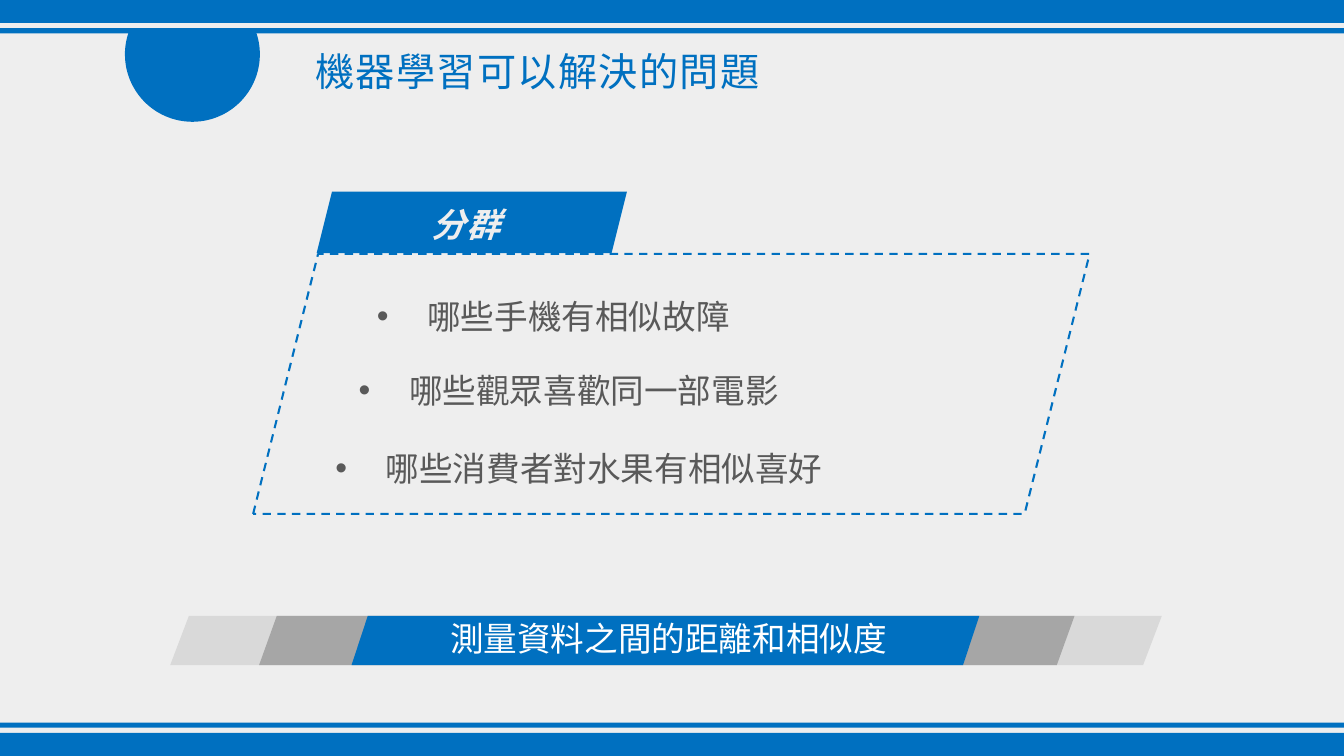
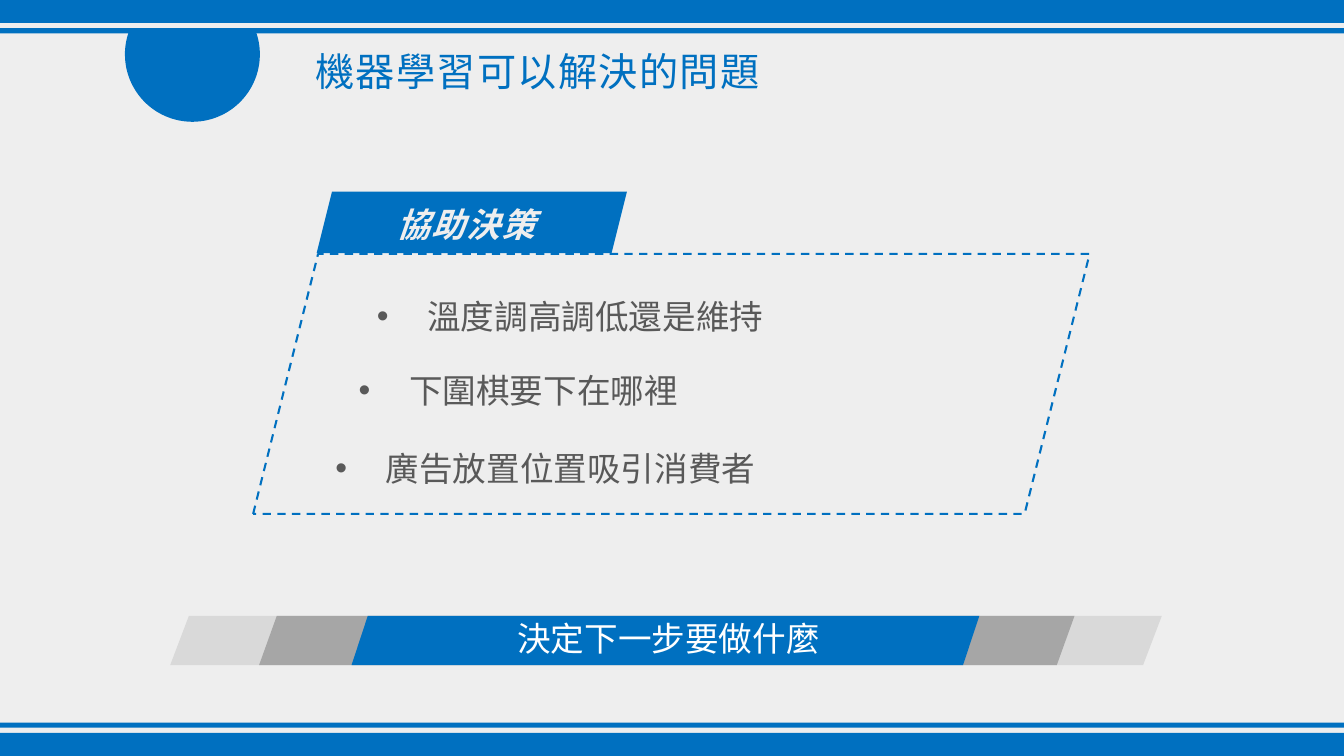
"""Build two slides on the problems that machine learning can solve."""
from dataclasses import dataclass
from math import asin, cos, pi, sin

from lxml import etree
from pptx import Presentation
from pptx.dml.color import RGBColor
from pptx.enum.dml import MSO_LINE
from pptx.enum.shapes import MSO_SHAPE
from pptx.enum.text import MSO_ANCHOR, MSO_AUTO_SIZE, PP_ALIGN
from pptx.oxml.ns import qn
from pptx.util import Cm, Pt

RECT, SLANT = MSO_SHAPE.RECTANGLE, MSO_SHAPE.PARALLELOGRAM
LEFT, CENTER = PP_ALIGN.LEFT, PP_ALIGN.CENTER
MIDDLE, NO_FIT, DASH = MSO_ANCHOR.MIDDLE, MSO_AUTO_SIZE.NONE, MSO_LINE.DASH


@dataclass(frozen=True)
class Theme:
    font: str = "Noto Sans CJK SC"
    blue: str = "0070C0"
    paper: str = "EEEEEE"
    white: str = "FFFFFF"
    text: str = "595959"
    light: str = "D9D9D9"
    mid: str = "A6A6A6"
    title_size: int = 28
    body_size: int = 24


T = Theme()
W, H = 33.87, 19.05
TITLE = "機器學習可以解決的問題"
SLIDES = [
    ("分群",
     ["哪些手機有相似故障", "哪些觀眾喜歡同一部電影", "哪些消費者對水果有相似喜好"],
     "測量資料之間的距離和相似度"),
    ("協助決策",
     ["溫度調高調低還是維持", "下圍棋要下在哪裡", "廣告放置位置吸引消費者"],
     "決定下一步要做什麼"),
]
BANDS = [(0, 0.58), (0.71, 0.13)]
RIBBON_TOP, RIBBON_H = 15.52, 1.24
RIBBON = [(4.29, 24.99, 0.38, T.light), (6.53, 20.55, 0.36, T.mid), (8.86, 15.82, 0.33, T.blue)]
BULLETS_AT = [(9.25, 6.99), (8.79, 8.86), (8.2, 10.82)]
DISC_X, DISC_Y, DISC_R, DISC_TOP, DISC_STEPS = 4.85, 1.37, 1.7, 0.82, 90


def paint(sp, fill):
    sp.shadow.inherit = False
    sp.line.fill.background()
    if fill:
        sp.fill.solid()
        sp.fill.fore_color.rgb = RGBColor.from_string(fill)
    else:
        sp.fill.background()
    return sp


def write(tf, text, size, color, align=LEFT, spacing=1.0, tracking=0, slanted=False):
    tf.word_wrap = True
    tf.auto_size = NO_FIT
    tf.vertical_anchor = MIDDLE
    p = tf.paragraphs[0]
    p.alignment = align
    p.line_spacing = spacing
    r = p.add_run()
    r.text = text
    r.font.size = Pt(size)
    r.font.bold = r.font.italic = slanted
    r.font.color.rgb = RGBColor.from_string(color)
    r.font.name = T.font
    rPr = r._r.get_or_add_rPr()
    rPr.set("spc", str(tracking * 100))
    etree.SubElement(rPr, qn("a:ea"), typeface=T.font)
    return p


prs = Presentation()
prs.slide_width, prs.slide_height = Cm(W), Cm(H)
master = prs.slide_master
master.background.fill.solid()
master.background.fill.fore_color.rgb = RGBColor.from_string(T.paper)
slides = [prs.slides.add_slide(prs.slide_layouts[5]) for _ in SLIDES]

shapes = slides[0].shapes
decor = []
for top, height in BANDS:
    for y in (top, H - top - height):
        decor.append(shapes.add_shape(RECT, 0, Cm(y), Cm(W), Cm(height)))
start = asin((DISC_TOP - DISC_Y) / DISC_R)
angles = [start + (pi - 2 * start) * i / DISC_STEPS for i in range(DISC_STEPS + 1)]
rim = [(Cm(DISC_X + DISC_R * cos(a)), Cm(DISC_Y + DISC_R * sin(a))) for a in angles]
outline = shapes.build_freeform(*rim[0])
outline.add_line_segments(rim[1:], close=True)
decor.append(outline.convert_to_shape())
for i, sp in enumerate(decor):
    paint(sp, T.blue)
    sp.element.nvSpPr.cNvPr.set("id", str(100 + i))
    master.shapes.element.insert(2 + i, sp.element)

for s, (label, bullets, summary) in zip(slides, SLIDES):
    title = s.shapes.title
    title.left, title.top, title.width, title.height = Cm(7.69), Cm(0.76), Cm(19.6), Cm(1.75)
    write(title.text_frame, TITLE, T.title_size, T.blue, spacing=1.25, tracking=1)

    for left, width, slope, color in RIBBON:
        sp = paint(s.shapes.add_shape(SLANT, Cm(left), Cm(RIBBON_TOP), Cm(width), Cm(RIBBON_H)), color)
        sp.adjustments[0] = slope
    tf = sp.text_frame
    tf.margin_left, tf.margin_top, tf.margin_right, tf.margin_bottom = Cm(0.16), 0, 0, Cm(0.12)
    write(tf, summary, T.body_size, T.white, CENTER)

    panel = paint(s.shapes.add_shape(SLANT, Cm(6.38), Cm(6.4), Cm(21.08), Cm(6.55)), None)
    panel.line.color.rgb = RGBColor.from_string(T.blue)
    panel.line.width = Pt(1.5)
    panel.line.dash_style = DASH

    tab = paint(s.shapes.add_shape(SLANT, Cm(7.98), Cm(4.83), Cm(7.82), Cm(1.55)), T.blue)
    tf = tab.text_frame
    tf.margin_left, tf.margin_top, tf.margin_right, tf.margin_bottom = 0, Cm(0.1), Cm(0.3), 0
    write(tf, label, T.body_size, T.paper, CENTER, tracking=1, slanted=True)

    for (left, top), text in zip(BULLETS_AT, bullets):
        box = s.shapes.add_textbox(Cm(left), Cm(top), Cm(15), Cm(1.55))
        p = write(box.text_frame, text, T.body_size, T.text, spacing=1.4)
        pPr = p._p.get_or_add_pPr()
        pPr.set("marL", str(Cm(1.27)))
        pPr.set("indent", str(-Cm(1.27)))
        etree.SubElement(pPr, qn("a:buFont"), typeface="Arial")
        etree.SubElement(pPr, qn("a:buChar"), char="•")

prs.save("out.pptx")
